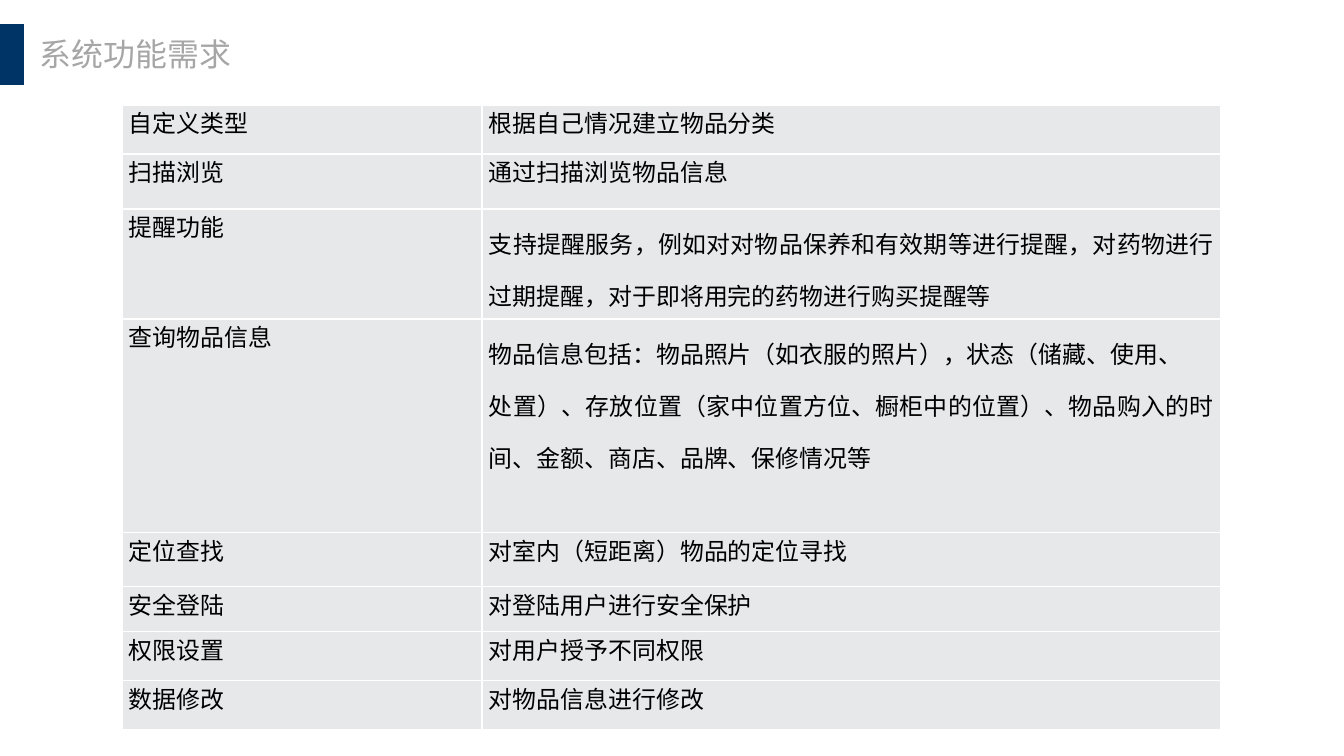
from dataclasses import dataclass

from lxml.etree import SubElement
from pptx import Presentation
from pptx.dml.color import RGBColor
from pptx.enum.shapes import MSO_SHAPE
from pptx.enum.text import MSO_ANCHOR, PP_ALIGN
from pptx.oxml.ns import qn
from pptx.util import Emu, Pt


@dataclass(frozen=True)
class Theme:
    accent: str = "003366"
    heading: str = "A6A6A6"
    body: str = "000000"
    cell: str = "E7E8EA"
    border: str = "FFFFFF"
    heading_size: int = 24
    body_size: int = 18
    border_width: int = 1
    latin_font: str = "Calibri"
    chinese_font: str = "Noto Sans CJK SC"


class SlideBuilder:
    SCALE = 914400 / 95.6

    def __init__(self, deck, theme, width, height):
        self.theme = theme
        deck.slide_width = self.length(width)
        deck.slide_height = self.length(height)
        self.page = deck.slides.add_slide(deck.slide_layouts[6])

    def length(self, pixels):
        return Emu(round(pixels * self.SCALE))

    def frame(self, *pixels):
        return [self.length(value) for value in pixels]

    def add_span(self, para, text, size, color, font):
        span = para.add_run()
        span.text = text
        span.font.size = Pt(size)
        span.font.color.rgb = RGBColor.from_string(color)
        span.font.name = font
        east_asian = SubElement(span.font._element, qn("a:ea"))
        east_asian.set("typeface", self.theme.chinese_font)

    def block(self, left, top, width, height, color):
        box = self.page.shapes.add_shape(
            MSO_SHAPE.RECTANGLE, *self.frame(left, top, width, height))
        box.shadow.inherit = False
        box.fill.solid()
        box.fill.fore_color.rgb = RGBColor.from_string(color)
        box.line.fill.background()

    def heading(self, left, top, width, height, text):
        box = self.page.shapes.add_textbox(*self.frame(left, top, width, height))
        text_frame = box.text_frame
        text_frame.word_wrap = False
        text_frame.margin_left = text_frame.margin_right = 0
        text_frame.margin_top = text_frame.margin_bottom = 0
        self.add_span(text_frame.paragraphs[0], text, self.theme.heading_size,
                      self.theme.heading, self.theme.chinese_font)

    def border(self, cell):
        properties = cell._tc.get_or_add_tcPr()
        for side in ("lnL", "lnR", "lnT", "lnB"):
            line = SubElement(properties, qn(f"a:{side}"))
            line.set("w", str(Pt(self.theme.border_width)))
            fill = SubElement(line, qn("a:solidFill"))
            SubElement(fill, qn("a:srgbClr")).set("val", self.theme.border)

    def cell(self, cell, paragraphs):
        self.border(cell)
        cell.fill.solid()
        cell.fill.fore_color.rgb = RGBColor.from_string(self.theme.cell)
        cell.margin_left = cell.margin_right = self.length(7)
        cell.margin_top = cell.margin_bottom = 0
        cell.vertical_anchor = MSO_ANCHOR.TOP
        text_frame = cell.text_frame
        for index, (text, spacing) in enumerate(paragraphs):
            para = text_frame.add_paragraph() if index else text_frame.paragraphs[0]
            para.alignment = PP_ALIGN.JUSTIFY
            para.line_spacing = spacing
            self.add_span(para, text, self.theme.body_size, self.theme.body,
                          self.theme.latin_font)

    def table(self, left, top, widths, rows):
        heights = [height for height, _, _ in rows]
        table = self.page.shapes.add_table(
            len(rows), len(widths),
            *self.frame(left, top, sum(widths), sum(heights))).table
        table.first_row = table.horz_banding = False
        for column, width in zip(table.columns, widths):
            column.width = self.length(width)
        for row, (height, name, details) in zip(table.rows, rows):
            row.height = self.length(height)
            spacing = 1.5 if height > 100 else 1.0
            self.cell(row.cells[0], [(name, 1.0)])
            self.cell(row.cells[1], [(detail, spacing) for detail in details])


REQUIREMENTS = [
    (49, "自定义类型", ["根据自己情况建立物品分类"]),
    (55, "扫描浏览", ["通过扫描浏览物品信息"]),
    (110, "提醒功能", [
        "支持提醒服务，例如对对物品保养和有效期等进行提醒，"
        "对药物进行过期提醒，对于即将用完的药物进行购买提醒等"]),
    (214, "查询物品信息", [
        "物品信息包括：物品照片（如衣服的照片），状态（储藏、使用、",
        "处置）、存放位置（家中位置方位、橱柜中的位置）、"
        "物品购入的时间、金额、商店、品牌、保修情况等"]),
    (54, "定位查找", ["对室内（短距离）物品的定位寻找"]),
    (45, "安全登陆", ["对登陆用户进行安全保护"]),
    (49, "权限设置", ["对用户授予不同权限"]),
    (49, "数据修改", ["对物品信息进行修改"]),
]

deck = Presentation()
theme = Theme()
builder = SlideBuilder(deck, theme, 1344, 756)
builder.block(0, 24, 24, 61, theme.accent)
builder.heading(40, 35, 193, 38, "系统功能需求")
builder.table(122, 105, [360, 739], REQUIREMENTS)
deck.save("out.pptx")
